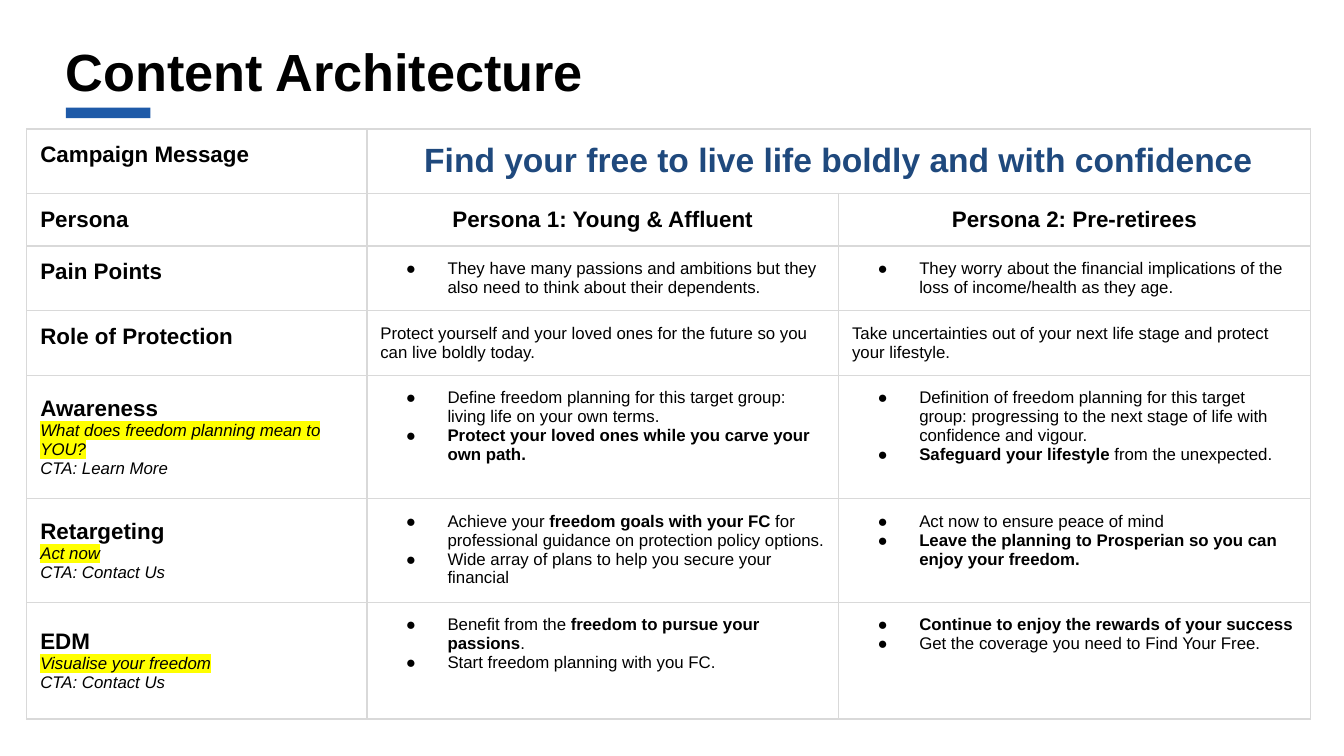
from lxml import etree
from pptx import Presentation
from pptx.dml.color import RGBColor
from pptx.enum.shapes import MSO_SHAPE
from pptx.enum.text import MSO_ANCHOR, PP_ALIGN
from pptx.oxml.ns import qn
from pptx.util import Inches, Pt

TOP, MIDDLE = MSO_ANCHOR.TOP, MSO_ANCHOR.MIDDLE
LEFT, CENTER = PP_ALIGN.LEFT, PP_ALIGN.CENTER
FONT = "Arial"
COLORS = {"ink": "000000", "navy": "1F497D", "bar": "1E5AA8",
          "border": "D9D9D9", "marker": "FFFF00"}

TITLE = "Content Architecture"
CAMPAIGN = ("Campaign Message", "Find your free to live life boldly and with confidence")
PERSONAS = ("Persona", "Persona 1: Young & Affluent", "Persona 2: Pre-retirees")
# Label lines (heading, highlighted theme, call to action), then one list per persona.
# Double asterisks enclose bold words.
TOPICS = [
    (["Pain Points"],
     ["They have many passions and ambitions but they also need to think about their dependents."],
     ["They worry about the financial implications of the loss of income/health as they age."]),
    (["Role of Protection"],
     ["Protect yourself and your loved ones for the future so you can live boldly today."],
     ["Take uncertainties out of your next life stage and protect your lifestyle."]),
    (["Awareness", "What does freedom planning mean to YOU?", "CTA: Learn More"],
     ["Define freedom planning for this target group: living life on your own terms.",
      "**Protect your loved ones while you carve your own path.**"],
     ["Definition of freedom planning for this target group: progressing to the next stage "
      "of life with confidence and vigour.",
      "**Safeguard your lifestyle** from the unexpected."]),
    (["Retargeting", "Act now", "CTA: Contact Us"],
     ["Achieve your **freedom goals with your FC** for professional guidance on protection "
      "policy options.",
      "Wide array of plans to help you secure your financial"],
     ["Act now to ensure peace of mind",
      "**Leave the planning to Prosperian so you can enjoy your freedom.**"]),
    (["EDM", "Visualise your freedom", "CTA: Contact Us"],
     ["Benefit from the **freedom to pursue your passions**.",
      "Start freedom planning with you FC."],
     ["**Continue to enjoy the rewards of your success**",
      "Get the coverage you need to Find Your Free."]),
]
UNBULLETED = "Role of Protection"

SLIDE_WIDTH = 10
SLIDE_HEIGHT = SLIDE_WIDTH * 9 / 16
TITLE_LEFT = 0.49
TABLE_LEFT, TABLE_TOP = 0.2, 0.96
COLUMN_WIDTHS = (2.53, 3.51, 3.51)
ROW_HEIGHTS = (0.48, 0.39, 0.48, 0.48, 0.92, 0.77, 0.87)


def rgb(name):
    return RGBColor.from_string(COLORS[name])


def style(font, size, bold=None, italic=None, color="ink"):
    font.name, font.size, font.bold, font.italic = FONT, Pt(size), bold, italic
    font.color.rgb = rgb(color)


def add_color(parent, tag, name):
    holder = etree.SubElement(parent, qn(tag))
    etree.SubElement(holder, qn("a:srgbClr"), val=COLORS[name])
    return holder


def add_bullet(para):
    properties = para._p.get_or_add_pPr()
    properties.set("marL", str(Inches(0.5)))
    properties.set("indent", str(Inches(-0.31)))
    add_color(properties, "a:buClr", "ink")
    etree.SubElement(properties, qn("a:buFont"), typeface=FONT)
    etree.SubElement(properties, qn("a:buChar"), char="●")


def highlight(span):
    properties = span._r.get_or_add_rPr()
    marker = add_color(properties, "a:highlight", "marker")
    properties.find(qn("a:solidFill")).addnext(marker)


def format_cell(cell):
    """Clear the fill, set the margins and draw all four borders."""
    cell.fill.background()
    cell.margin_left = cell.margin_right = Inches(0.1)
    cell.margin_top = cell.margin_bottom = Inches(0.1)
    properties = cell._tc.get_or_add_tcPr()
    for position, side in enumerate("LRTB"):
        line = etree.Element(qn(f"a:ln{side}"), w=str(Pt(0.75)))
        add_color(line, "a:solidFill", "border")
        properties.insert(position, line)


def write_lines(cell, lines, anchor=TOP):
    """Yield a paragraph with each line of text."""
    cell.vertical_anchor = anchor
    frame = cell.text_frame
    for index, line in enumerate(lines):
        yield (frame.add_paragraph() if index else frame.paragraphs[0]), line


def write_heading(cell, text, size=12, color="ink"):
    for para, line in write_lines(cell, [text], MIDDLE):
        para.alignment = CENTER
        para.add_run().text = line
        style(para.runs[0].font, size, bold=True, color=color)


def write_label(cell, lines):
    anchor = MIDDLE if len(lines) > 1 else TOP
    for index, (para, line) in enumerate(write_lines(cell, lines, anchor)):
        span = para.add_run()
        span.text = line
        style(span.font, 9 if index else 12, bold=not index, italic=index > 0)
        if index == 1:
            highlight(span)


def write_messages(cell, lines, bulleted):
    for para, line in write_lines(cell, lines):
        if bulleted:
            add_bullet(para)
        for index, text in enumerate(line.split("**")):
            if text:
                span = para.add_run()
                span.text = text
                style(span.font, 9, bold=index % 2 == 1)


deck = Presentation()
deck.slide_width, deck.slide_height = Inches(SLIDE_WIDTH), Inches(SLIDE_HEIGHT)
slide = deck.slides.add_slide(deck.slide_layouts[5])

bar = slide.shapes.add_shape(MSO_SHAPE.RECTANGLE, Inches(TITLE_LEFT), Inches(0.8),
                             Inches(0.63), Inches(0.08))
bar.shadow.inherit = False
bar.fill.solid()
bar.fill.fore_color.rgb = rgb("bar")
bar.line.fill.background()

title = slide.shapes.title
title.left, title.top = Inches(TITLE_LEFT), Inches(0.38)
title.width, title.height = Inches(7.41), Inches(0.38)
frame = title.text_frame
frame.text = TITLE
frame.margin_left = frame.margin_right = frame.margin_top = frame.margin_bottom = 0
frame.vertical_anchor = TOP
para = frame.paragraphs[0]
para.alignment, para.line_spacing = LEFT, 0.8
style(para.runs[0].font, 28, bold=True)

table = slide.shapes.add_table(
    len(ROW_HEIGHTS), len(COLUMN_WIDTHS), Inches(TABLE_LEFT), Inches(TABLE_TOP),
    Inches(sum(COLUMN_WIDTHS)), Inches(sum(ROW_HEIGHTS))).table
table.first_row = table.horz_banding = False
for column, width in zip(table.columns, COLUMN_WIDTHS):
    column.width = Inches(width)
for row, height in zip(table.rows, ROW_HEIGHTS):
    row.height = Inches(height)
for cell in table.iter_cells():
    format_cell(cell)

table.cell(0, 1).merge(table.cell(0, 2))
write_label(table.cell(0, 0), CAMPAIGN[:1])
write_heading(table.cell(0, 1), CAMPAIGN[1], size=18, color="navy")
write_label(table.cell(1, 0), PERSONAS[:1])
for column, persona in enumerate(PERSONAS[1:], start=1):
    write_heading(table.cell(1, column), persona)
for row, (label, *messages) in enumerate(TOPICS, start=2):
    write_label(table.cell(row, 0), label)
    for column, lines in enumerate(messages, start=1):
        write_messages(table.cell(row, column), lines, bulleted=label[0] != UNBULLETED)

deck.save("out.pptx")
